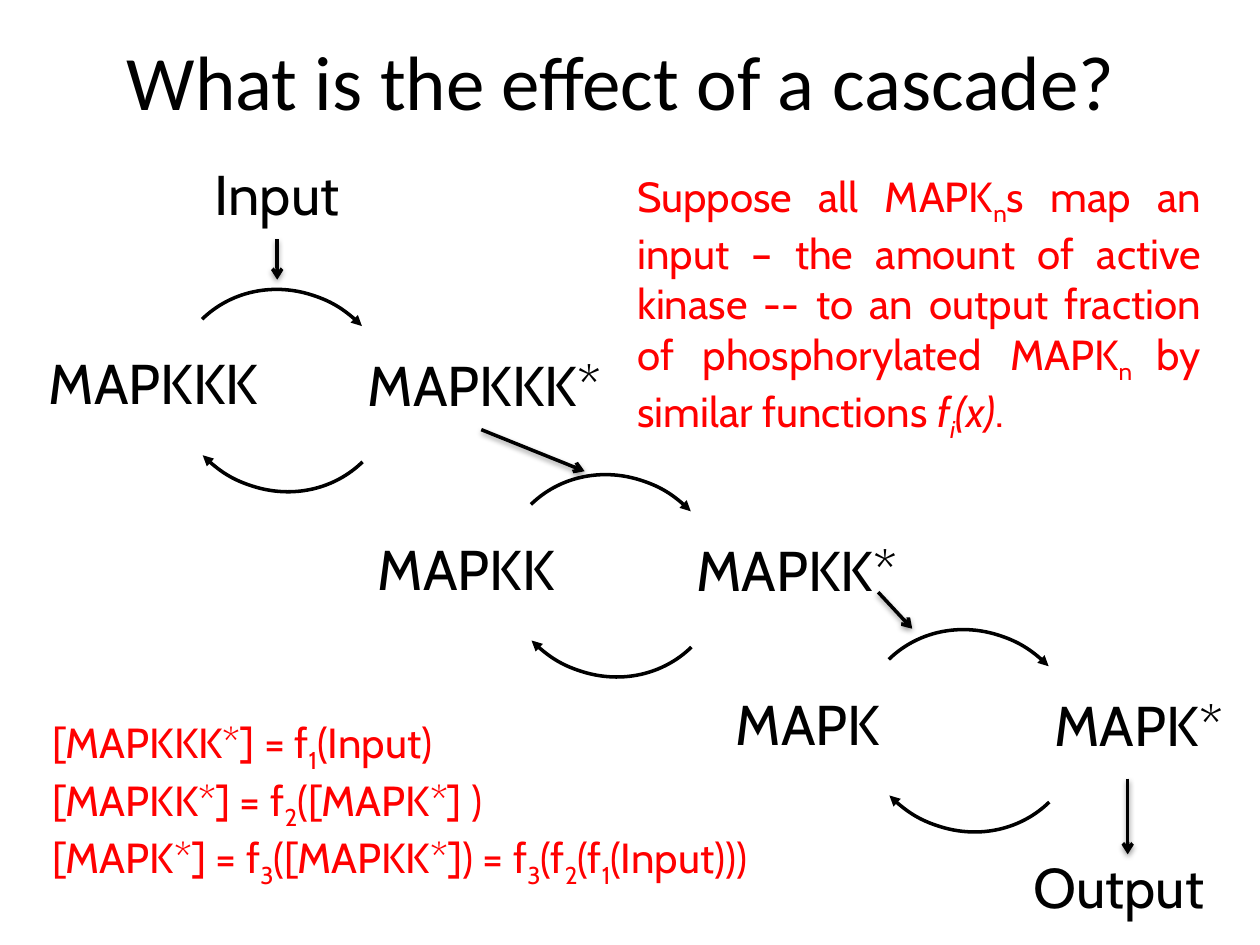
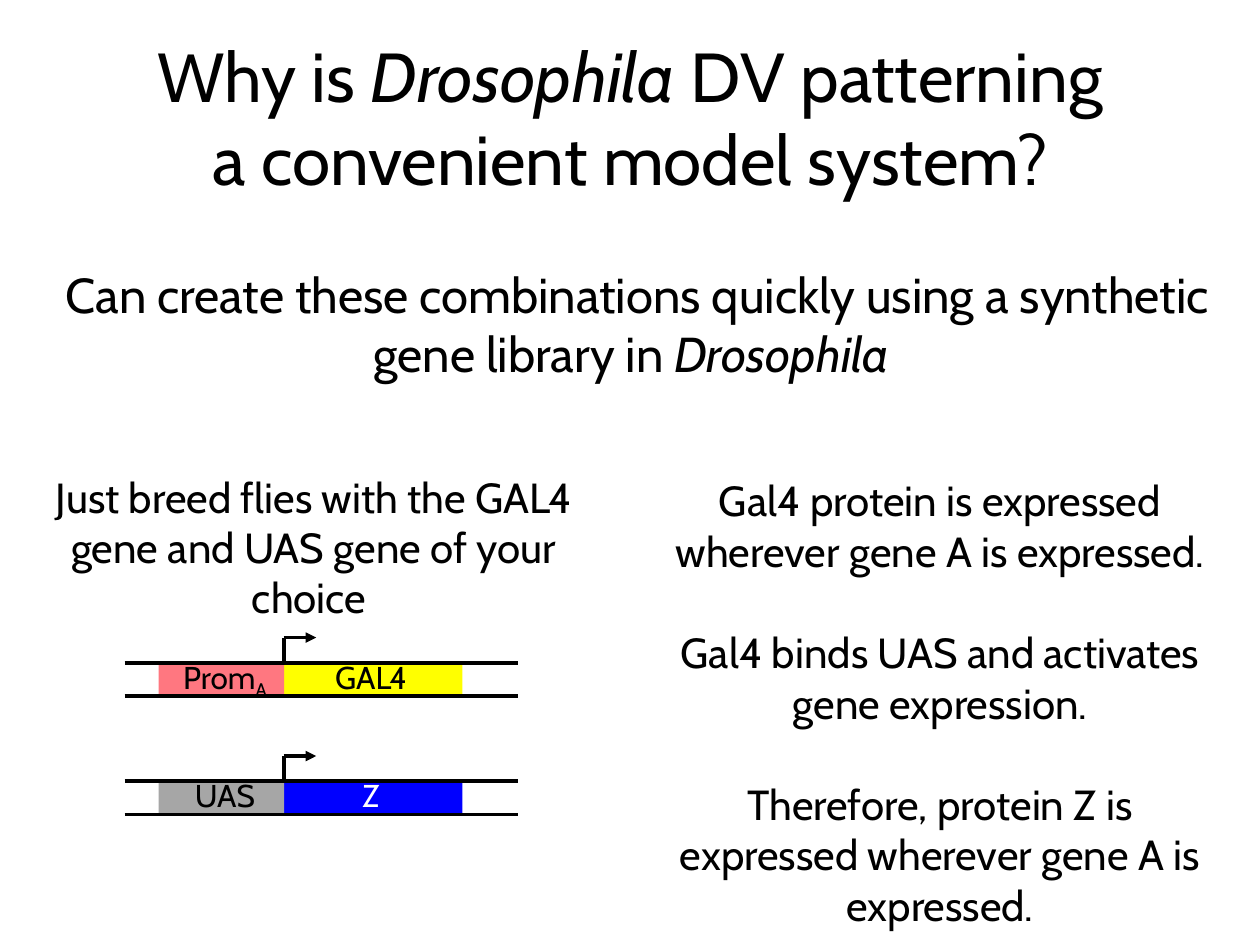
from dataclasses import dataclass
from typing import NamedTuple

from lxml import etree
from pptx import Presentation
from pptx.dml.color import RGBColor
from pptx.enum.shapes import MSO_CONNECTOR, MSO_SHAPE
from pptx.enum.text import MSO_ANCHOR, MSO_AUTO_SIZE, PP_ALIGN
from pptx.oxml.ns import qn
from pptx.util import Inches, Pt

SLIDE_WIDTH, SLIDE_HEIGHT = Inches(10), Inches(7.5)
COLUMN, ROW = SLIDE_WIDTH / 100, SLIDE_HEIGHT / 75
TITLE_ONLY_LAYOUT = 5

BLACK = RGBColor(0x00, 0x00, 0x00)
WHITE = RGBColor(0xFF, 0xFF, 0xFF)
RED = RGBColor(0xFF, 0x00, 0x00)
YELLOW = RGBColor(0xFF, 0xFF, 0x00)
PINK = RGBColor(0xFF, 0x77, 0x80)
BLUE = RGBColor(0x00, 0x00, 0xFF)
GREY = RGBColor(0xA6, 0xA6, 0xA6)

TEXT_FONT, PLAIN_TITLE_FONT = "Cabin", "Calibri"
LINE_WIDTH = Pt(2)
LEFT, CENTER, JUSTIFY = PP_ALIGN.LEFT, PP_ALIGN.CENTER, PP_ALIGN.JUSTIFY
MIDDLE = MSO_ANCHOR.MIDDLE
GROW, FIXED = MSO_AUTO_SIZE.SHAPE_TO_FIT_TEXT, MSO_AUTO_SIZE.NONE
ARC, RECTANGLE = MSO_SHAPE.ARC, MSO_SHAPE.RECTANGLE
STRAIGHT = MSO_CONNECTOR.STRAIGHT


class Frame(NamedTuple):
    """A rectangle in grid columns and rows."""
    left: float
    top: float
    width: float
    height: float

    def lengths(self) -> tuple[int, int, int, int]:
        return (round(self.left * COLUMN), round(self.top * ROW),
                round(self.width * COLUMN), round(self.height * ROW))


class Span(NamedTuple):
    text: str
    subscript: bool = False
    italic: bool = False


LINE_BREAK = Span("\n")
Line = list[Span]


@dataclass(frozen=True)
class TextStyle:
    size: float
    align: PP_ALIGN = CENTER
    color: RGBColor = BLACK
    font: str = TEXT_FONT
    gap: float = 0


class Stage(NamedTuple):
    """One kinase of the cascade, placed by its inactive label."""
    kinase: str
    left: float
    top: float


class Construct(NamedTuple):
    """A promoter and the gene that it drives."""
    promoter: Line
    promoter_fill: RGBColor
    gene: str
    gene_fill: RGBColor
    gene_color: RGBColor


LABEL = TextStyle(32, LEFT)
END_LABEL = TextStyle(32)
NOTE = TextStyle(24, JUSTIFY, RED)
BODY = TextStyle(24, gap=29.16)
LEAD = TextStyle(28)
GENE_LABEL = TextStyle(18)

STAGES = [Stage("MAPKKK", 2.9, 27.2), Stage("MAPKK", 29, 41.9), Stage("MAPK", 57.4, 54.2)]
SIGNAL_ARROWS = [(22, 19, 22, 22.2), (38.2, 34.1, 46.4, 37.4),
                 (69.7, 47, 72.4, 49.9), (89.5, 61.8, 89.5, 67.8)]
CONSTRUCTS = [
    Construct([Span("Prom"), Span("A", subscript=True)], PINK, "GAL4", YELLOW, BLACK),
    Construct([Span("UAS")], GREY, "Z", BLUE, WHITE),
]
CONSTRUCT_TOP, CONSTRUCT_STEP = 52.6, 9.4
GENE_START = 22.55


def formula(text: str) -> Line:
    """Set the digits of a formula as subscripts."""
    return [Span(character, subscript=character.isdigit()) for character in text] \
        if len(text) == 1 else split_digits(text)


def split_digits(text: str) -> Line:
    spans: Line = []
    for character in text:
        digit = character.isdigit()
        if spans and spans[-1].subscript == digit:
            spans[-1] = Span(spans[-1].text + character, digit)
        else:
            spans.append(Span(character, digit))
    return spans


def write(text_frame, lines: list[Line], style: TextStyle) -> None:
    for index, line in enumerate(lines):
        para = text_frame.paragraphs[0] if index == 0 else text_frame.add_paragraph()
        para.alignment = style.align
        if index and style.gap:
            para.space_before = Pt(style.gap)
        para.font.name, para.font.size = style.font, Pt(style.size)
        para.font.color.rgb = style.color
        for span in line:
            if span == LINE_BREAK:
                para.add_line_break()
                continue
            run = para.add_run()
            run.text = span.text
            if span.italic:
                run.font.italic = True
            if span.subscript:
                run._r.get_or_add_rPr().set("baseline", "-25000")


def add_text(page, frame: Frame, lines: list[Line], style: TextStyle) -> None:
    text_frame = page.shapes.add_textbox(*frame.lengths()).text_frame
    text_frame.word_wrap = True
    text_frame.auto_size = GROW
    write(text_frame, lines, style)


def add_page(deck, top: float, title: Line, style: TextStyle):
    page = deck.slides.add_slide(deck.slide_layouts[TITLE_ONLY_LAYOUT])
    box = page.shapes.title
    box.left, box.top, box.width, box.height = Frame(5, top, 90, 12.5).lengths()
    box.text_frame.auto_size = FIXED
    box.text_frame.vertical_anchor = MIDDLE
    write(box.text_frame, [title], style)
    return page


def set_line(shape, head: str | None = None) -> None:
    shape.line.color.rgb = BLACK
    shape.line.width = LINE_WIDTH
    if head:
        etree.SubElement(shape.line._get_or_add_ln(), qn("a:tailEnd"), type=head)


def add_line(page, ends: tuple[float, float, float, float],
             head: str | None = None, shadow: bool = False) -> None:
    x1, y1, x2, y2 = ends
    line = page.shapes.add_connector(STRAIGHT, round(x1 * COLUMN), round(y1 * ROW),
                                     round(x2 * COLUMN), round(y2 * ROW))
    set_line(line, head)
    effects = etree.SubElement(line._element.spPr, qn("a:effectLst"))
    if shadow:
        outer = etree.SubElement(effects, qn("a:outerShdw"), blurRad="40000",
                                 dist="20000", dir="5400000", rotWithShape="0")
        color = etree.SubElement(outer, qn("a:srgbClr"), val=str(BLACK))
        etree.SubElement(color, qn("a:alpha"), val="38000")


def add_arc_arrow(page, left: float, top: float, rotation: float) -> None:
    arc = page.shapes.add_shape(ARC, *Frame(left, top, 17.4, 18.5).lengths())
    arc.rotation = rotation
    arc.shadow.inherit = False
    arc.fill.background()
    set_line(arc, "triangle")


def add_block(page, frame: Frame, fill: RGBColor) -> None:
    block = page.shapes.add_shape(RECTANGLE, *frame.lengths())
    block.shadow.inherit = False
    block.fill.solid()
    block.fill.fore_color.rgb = fill
    block.line.fill.background()


def draw_stage(page, stage: Stage) -> None:
    """Draw the inactive and active kinase with the cycle between them."""
    kinase, left, top = stage
    add_text(page, Frame(left, top, 20.2, 6.4), [[Span(kinase)]], LABEL)
    add_text(page, Frame(left + 25.3, top + 0.1, 20.6, 6.4), [[Span(kinase + "*")]], LABEL)
    add_arc_arrow(page, left + 10.7, top - 6.4, 135.6)
    add_arc_arrow(page, left + 10.9, top - 4.5, 315.7)


def draw_construct(page, construct: Construct, top: float) -> None:
    add_line(page, (GENE_START, top - 2, GENE_START, top + 1.1))
    add_line(page, (GENE_START - 0.05, top - 2, GENE_START + 2.55, top - 2), "triangle")
    add_block(page, Frame(GENE_START, top, 14.15, 2.6), construct.gene_fill)
    add_block(page, Frame(GENE_START - 9.95, top, 9.95, 2.6), construct.promoter_fill)
    for rail in (top, top + 2.65):
        add_line(page, (9.9, rail, 41.1, rail))
    add_text(page, Frame(12.4, top - 0.9, 10.9, 4), [construct.promoter], GENE_LABEL)
    add_text(page, Frame(24, top - 0.9, 10.9, 4), [[Span(construct.gene)]],
             TextStyle(GENE_LABEL.size, color=construct.gene_color))


def build_cascade(deck) -> None:
    page = add_page(deck, 0.1, [Span("What is the effect of a cascade? ")],
                    TextStyle(44, font=PLAIN_TITLE_FONT))
    for stage in STAGES:
        draw_stage(page, stage)
    add_text(page, Frame(11.9, 12.2, 20.2, 6.4), [[Span("Input")]], END_LABEL)
    add_text(page, Frame(78.7, 67.2, 20.2, 6.4), [[Span("Output")]], END_LABEL)
    for ends in SIGNAL_ARROWS:
        add_line(page, ends, "arrow", shadow=True)
    assumption = [
        Span("Suppose all MAPK"), Span("n", subscript=True),
        Span("s map an input – the amount of active kinase -- to an output fraction"
             " of phosphorylated MAPK"),
        Span("n ", subscript=True), Span("by similar functions "),
        Span("f", italic=True), Span("i", subscript=True, italic=True),
        Span("(x)", italic=True), Span("."),
    ]
    add_text(page, Frame(49.6, 13, 46.7, 21.2), [assumption], NOTE)
    formulas = ["[MAPKKK*] = f1(Input)", "[MAPKK*] = f2([MAPK*] )",
                "[MAPK*] = f3([MAPKK*]) = f3(f2(f1(Input)))"]
    add_text(page, Frame(3.2, 56.4, 58.7, 13.1), [split_digits(text) for text in formulas], NOTE)


def build_model_system(deck) -> None:
    species = Span("Drosophila ", italic=True)
    page = add_page(deck, 3, [Span("Why is "), species, Span("DV patterning"), LINE_BREAK,
                              Span("a convenient model system?")], TextStyle(39.6))
    add_text(page, Frame(3, 20.5, 95.1, 10.4),
             [[Span("Can create these combinations quickly using a synthetic gene library in "),
               species]], LEAD)
    add_text(page, Frame(0, 36.9, 49.8, 9.1),
             [[Span("Just breed flies with the GAL4 gene and UAS gene of your choice ")]], BODY)
    for index, construct in enumerate(CONSTRUCTS):
        draw_construct(page, construct, CONSTRUCT_TOP + index * CONSTRUCT_STEP)
    steps = ["Gal4 protein is expressed wherever gene A is expressed.",
             "Gal4 binds UAS and activates gene expression.",
             "Therefore, protein Z is expressed wherever gene A is expressed."]
    add_text(page, Frame(52, 37.2, 45.2, 37.4), [[Span(text)] for text in steps], BODY)


def main() -> None:
    deck = Presentation()
    deck.slide_width, deck.slide_height = SLIDE_WIDTH, SLIDE_HEIGHT
    build_cascade(deck)
    build_model_system(deck)
    deck.save("out.pptx")


if __name__ == "__main__":
    main()
